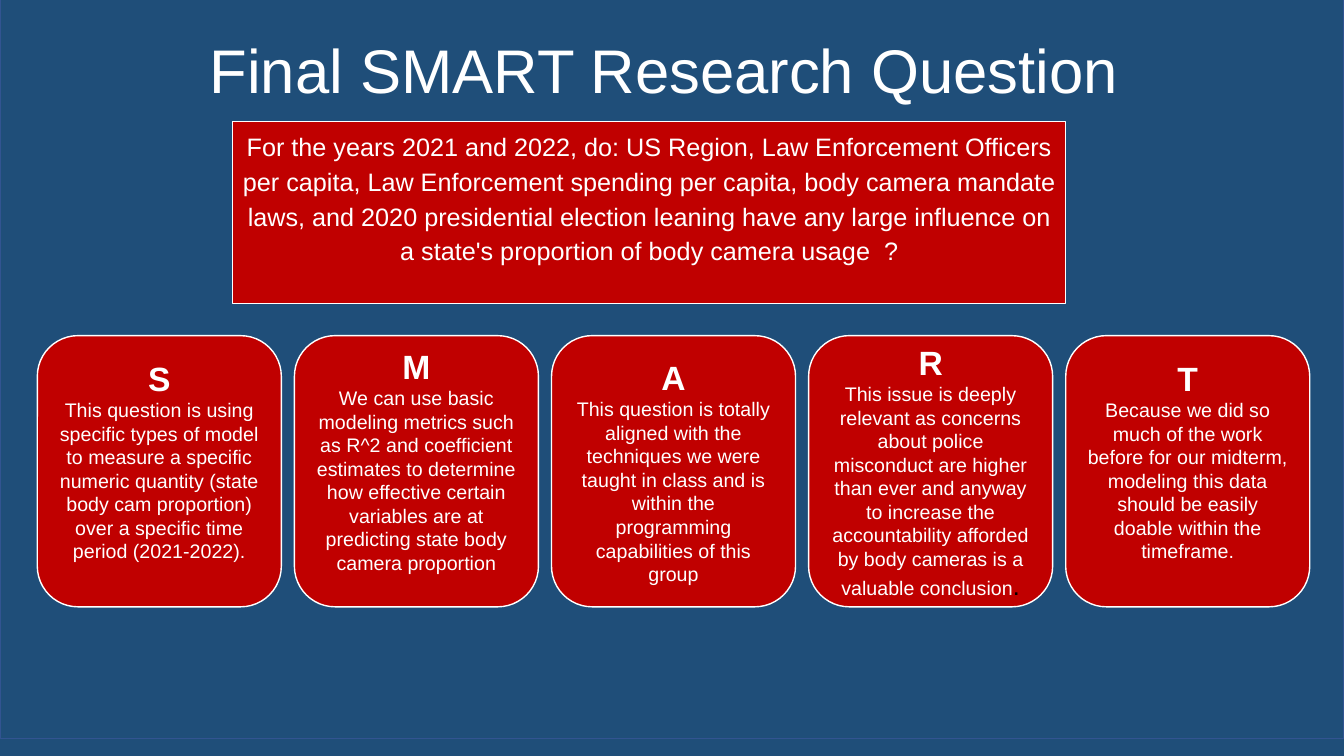
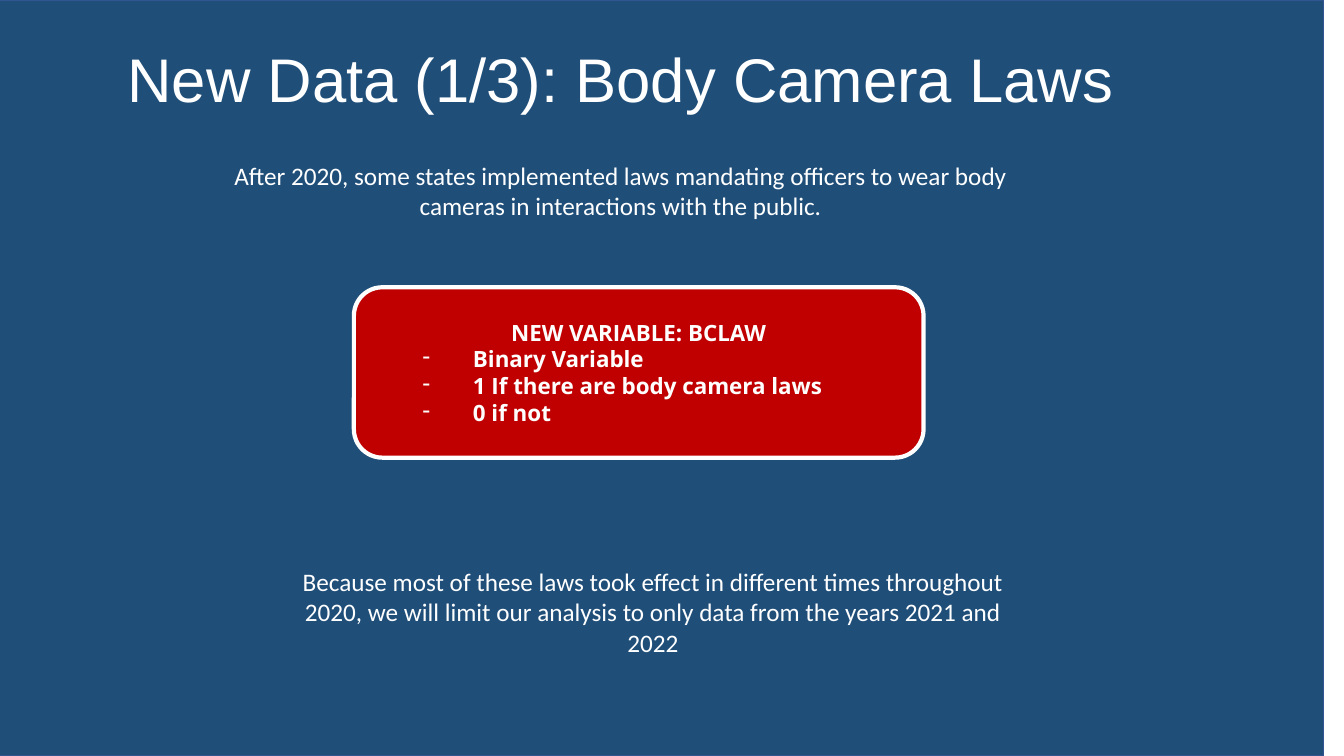
from lxml import etree
from pptx import Presentation
from pptx.dml.color import RGBColor
from pptx.enum.shapes import MSO_SHAPE
from pptx.enum.text import MSO_ANCHOR, PP_ALIGN
from pptx.oxml.ns import qn
from pptx.util import Inches, Pt

NAVY = RGBColor(0x1F, 0x4E, 0x79)
PANEL_EDGE = RGBColor(0x32, 0x54, 0x91)
RED = RGBColor(0xC0, 0x00, 0x00)
WHITE = RGBColor(0xFF, 0xFF, 0xFF)
BLACK = RGBColor(0x00, 0x00, 0x00)

RECTANGLE = MSO_SHAPE.RECTANGLE
ROUNDED = MSO_SHAPE.ROUNDED_RECTANGLE
CENTER, LEFT = PP_ALIGN.CENTER, PP_ALIGN.LEFT
TOP, MIDDLE = MSO_ANCHOR.TOP, MSO_ANCHOR.MIDDLE

SLIDE_WIDTH, SLIDE_HEIGHT = 13.33, 7.5
TITLE_ONLY = 5

CARD_LEFT, CARD_TOP = 0.37, 3.33
CARD_WIDTH, CARD_HEIGHT = 2.42, 2.69
CARD_PITCH = 2.55

# Letter, explanation and bottom inset of each card
SMART_CARDS = [
    ("S", "This question is using specific types of model to measure a specific "
     "numeric quantity (state body cam proportion) over a specific time period "
     "(2021-2022).", 0.27),
    ("M", "We can use basic modeling metrics such as R^2 and coefficient estimates "
     "to determine how effective certain variables are at predicting state body "
     "camera proportion", 0.27),
    ("A", "This question is totally aligned with the techniques we were taught in "
     "class and is within the programming capabilities of this group", 0.05),
    ("R", "This issue is deeply relevant as concerns about police misconduct are "
     "higher than ever and anyway to increase the accountability afforded by body "
     "cameras is a valuable conclusion", 0.05),
    ("T", "Because we did so much of the work before for our midterm, modeling this "
     "data should be easily doable within the timeframe.", 0.27),
]
QUESTION = (
    "For the years 2021 and 2022, do: US Region, Law Enforcement Officers per capita, "
    "Law Enforcement spending per capita, body camera mandate laws, and 2020 "
    "presidential election leaning have any large influence on a state's proportion "
    "of body camera usage  ?")
LAW_INTRO = ("After 2020, some states implemented laws mandating officers to wear body "
             "cameras in interactions with the public.")
LAW_LIMIT = ("Because most of these laws took effect in different times throughout 2020, "
             "we will limit our analysis to only data from the years 2021 and 2022")
VARIABLE_LINES = ["NEW VARIABLE: BCLAW", "Binary Variable",
                  "1 If there are body camera laws", "0 if not"]


def format_paragraph(para, size, font="Arial", bold=False, align=CENTER, spacing=None):
    para.alignment = align
    if spacing:
        para.line_spacing = spacing
    for span in para.runs:
        format_span(span, size, font, bold, WHITE)


def format_span(span, size, font, bold, color):
    span.font.size = Pt(size)
    span.font.name = font
    span.font.bold = bold
    span.font.color.rgb = color


def add_dash(para):
    """Turn the paragraph into a list item with a hanging dash."""
    properties = para._p.get_or_add_pPr()
    properties.set("marL", str(Inches(1)))
    properties.set("indent", str(Inches(-0.5)))
    etree.SubElement(properties, qn("a:buChar")).set("char", "-")


def add_block(page, kind, left, top, width, height, fill=RED, edge=WHITE, weight=1.0):
    block = page.shapes.add_shape(
        kind, Inches(left), Inches(top), Inches(width), Inches(height))
    block.shadow.inherit = False
    block.fill.solid()
    block.fill.fore_color.rgb = fill
    block.line.color.rgb = edge
    block.line.width = Pt(weight)
    return block


def add_page(deck, title, title_left, title_top, panel_left, panel_top, background):
    """Add a slide with the navy panel behind its title."""
    page = deck.slides.add_slide(deck.slide_layouts[TITLE_ONLY])
    page.background.fill.solid()
    page.background.fill.fore_color.rgb = background
    panel = add_block(page, RECTANGLE, panel_left, panel_top, SLIDE_WIDTH, SLIDE_HEIGHT,
                      NAVY, PANEL_EDGE)
    heading = page.shapes.title
    heading.element.addprevious(panel.element)
    heading.left, heading.top = Inches(title_left), Inches(title_top)
    heading.width, heading.height = Inches(11.5), Inches(1.45)
    frame = heading.text_frame
    frame.text = title
    frame.vertical_anchor = MIDDLE
    format_paragraph(frame.paragraphs[0], 44, spacing=0.9)
    return page


def add_card(page, left, letter, explanation, bottom_inset):
    card = add_block(page, ROUNDED, left, CARD_TOP, CARD_WIDTH, CARD_HEIGHT)
    frame = card.text_frame
    frame.word_wrap = True
    frame.vertical_anchor = MIDDLE
    frame.margin_bottom = Inches(bottom_inset)
    frame.text = f"{letter}\n{explanation}"
    format_paragraph(frame.paragraphs[0], 24, bold=True)
    format_paragraph(frame.paragraphs[1], 14)
    return card


def add_note(page, text, left, top, width, height):
    box = page.shapes.add_textbox(
        Inches(left), Inches(top), Inches(width), Inches(height))
    box.text_frame.word_wrap = True
    box.text_frame.text = text
    format_paragraph(box.text_frame.paragraphs[0], 18, "Calibri")


def build_question_page(deck):
    page = add_page(deck, "Final SMART Research Question", 0.84, 0, 0, -0.17, NAVY)
    for index, (letter, explanation, bottom_inset) in enumerate(SMART_CARDS):
        card = add_card(page, CARD_LEFT + index * CARD_PITCH,
                        letter, explanation, bottom_inset)
        if letter == "R":
            full_stop = card.text_frame.paragraphs[1].add_run()
            full_stop.text = "."
            format_span(full_stop, 18, "Arial", False, BLACK)
    question = add_block(page, RECTANGLE, 2.31, 1.21, 8.26, 1.8, weight=0.75)
    frame = question.text_frame
    frame.word_wrap = True
    frame.vertical_anchor = TOP
    frame.text = QUESTION
    format_paragraph(frame.paragraphs[0], 18, spacing=1.15)


def build_laws_page(deck):
    page = add_page(deck, "New Data (1/3): Body Camera Laws", 0.41, 0.09, -0.2, 0, WHITE)
    add_note(page, LAW_INTRO, 2.19, 1.54, 7.93, 0.71)
    variable = add_block(page, ROUNDED, 3.51, 2.85, 5.65, 1.69, weight=3)
    frame = variable.text_frame
    frame.word_wrap = True
    frame.vertical_anchor = MIDDLE
    frame.text = "\n".join(VARIABLE_LINES)
    heading, *items = frame.paragraphs
    format_paragraph(heading, 16, "Open Sans", True)
    for item in items:
        format_paragraph(item, 16, "Open Sans", True, LEFT)
        add_dash(item)
    add_note(page, LAW_LIMIT, 2.82, 5.57, 7.31, 1.01)


def main():
    deck = Presentation()
    deck.slide_width, deck.slide_height = Inches(SLIDE_WIDTH), Inches(SLIDE_HEIGHT)
    build_question_page(deck)
    build_laws_page(deck)
    deck.save("out.pptx")


if __name__ == "__main__":
    main()
